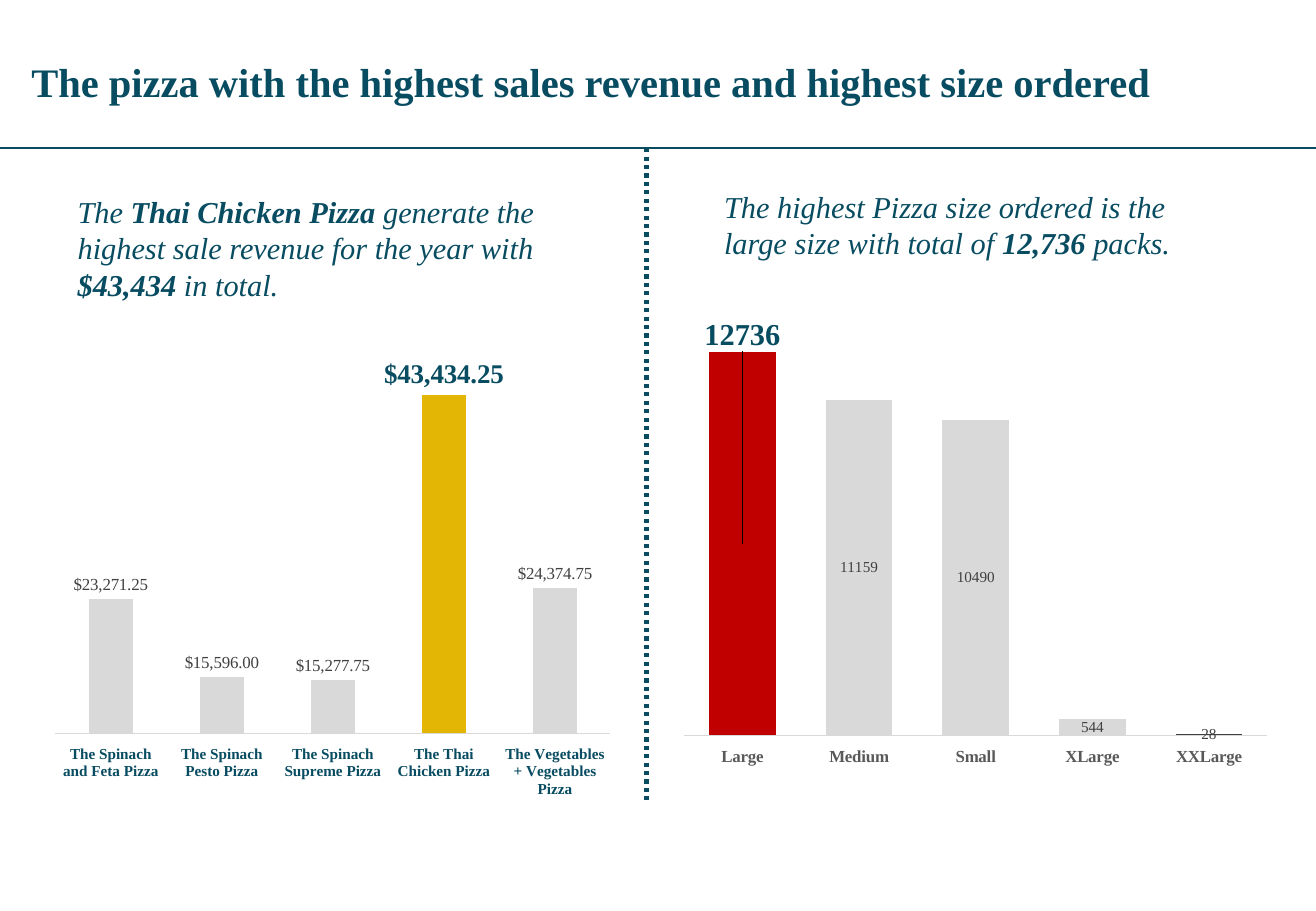
"""Build the slide on the best-selling pizza and the most ordered size."""
from dataclasses import dataclass

from lxml import etree
from pptx import Presentation
from pptx.chart.data import CategoryChartData
from pptx.dml.color import RGBColor
from pptx.enum.chart import XL_CHART_TYPE, XL_LABEL_POSITION, XL_TICK_LABEL_POSITION, XL_TICK_MARK
from pptx.enum.dml import MSO_LINE
from pptx.enum.shapes import MSO_CONNECTOR
from pptx.oxml.ns import qn
from pptx.util import Inches, Pt

CLUSTERED, STACKED = XL_CHART_TYPE.COLUMN_CLUSTERED, XL_CHART_TYPE.COLUMN_STACKED
ABOVE, CENTER = XL_LABEL_POSITION.OUTSIDE_END, XL_LABEL_POSITION.CENTER
NO_TICK, LOW = XL_TICK_MARK.NONE, XL_TICK_LABEL_POSITION.LOW
DOTTED = MSO_LINE.ROUND_DOT
STRAIGHT = MSO_CONNECTOR.STRAIGHT


@dataclass(frozen=True)
class Theme:
    font: str = "Times New Roman"
    teal: str = "084C61"
    gold: str = "E3B505"
    red: str = "C00000"
    bar: str = "D9D9D9"
    dark: str = "404040"
    gray: str = "595959"
    title: int = 24
    message: int = 18
    label: int = 10
    small: int = 9


THEME = Theme()
WIDTH, HEIGHT = Inches(10.83), Inches(7.5)
RULE_TOP, DIVIDER_LEFT, DIVIDER_END = 16.27, 49.12, 88.13

PLAIN, ITALIC, BOLD, BOLD_ITALIC = (False, False), (False, True), (True, False), (True, True)
TEXTS = [
    ((1.48, 5.6, 97.04, 6.8), THEME.title, [
        ("The pizza with the highest sales revenue and highest size ordered", BOLD)]),
    ((4.99, 20.53, 39.24, 13.47), THEME.message, [
        ("The ", ITALIC),
        ("Thai Chicken Pizza ", BOLD_ITALIC),
        ("generate the highest sale revenue for the year with ", ITALIC),
        ("$43,434 ", BOLD_ITALIC),
        ("in total.", ITALIC)]),
    ((54.11, 20, 39.24, 9.47), THEME.message, [
        ("The highest Pizza size ordered is the large size with total of ", ITALIC),
        ("12,736", BOLD_ITALIC),
        (" packs.", ITALIC)]),
]
LINES = [
    ((DIVIDER_LEFT, RULE_TOP, DIVIDER_LEFT, DIVIDER_END), 2.5, DOTTED),
    ((0, RULE_TOP, 100, RULE_TOP), 1.5, None),
]
CHARTS = [
    dict(kind=CLUSTERED, area=(3.32, 29.6, 43.95, 58.53), plot=(0.02, 0.11, 0.96, 0.76),
         bars=[("The Spinach and Feta Pizza", 23271.25, THEME.bar),
               ("The Spinach Pesto Pizza", 15596, THEME.bar),
               ("The Spinach Supreme Pizza", 15277.75, THEME.bar),
               ("The Thai Chicken Pizza", 43434.25, THEME.gold),
               ("The Vegetables + Vegetables Pizza", 24374.75, THEME.bar)],
         number='"$"#,##0.00', scale=(10000, 50000), gap=150, overlap=-25,
         axis=(THEME.small, THEME.teal), label=THEME.label, place=ABOVE,
         best=3, best_size=16, lift=0),
    dict(kind=STACKED, area=(51.06, 33.47, 46.17, 50.8), plot=(0.02, 0.02, 0.96, 0.91),
         bars=[("Large", 12736, THEME.red),
               ("Medium", 11159, THEME.bar),
               ("Small", 10490, THEME.bar),
               ("XLarge", 544, THEME.bar),
               ("XXLarge", 28, THEME.dark)],
         number="General", scale=(0, 14000), gap=75, overlap=100,
         axis=(THEME.label, THEME.gray), label=THEME.small, place=CENTER,
         best=0, best_size=18, lift=-0.45),
]


def place(area):
    """Turn percentages of the slide into lengths."""
    return [round(share * side / 100) for share, side in zip(area, (WIDTH, HEIGHT) * 2)]


def style(font, size, color, look=PLAIN):
    """Apply the theme font with a size, a colour and a look."""
    font.name, font.size = THEME.font, Pt(size)
    font.color.rgb = RGBColor.from_string(color)
    font.bold, font.italic = look


def make_layout(**settings):
    """Return a manual chart layout."""
    layout = etree.Element(qn("c:layout"))
    manual = etree.SubElement(layout, qn("c:manualLayout"))
    for name, value in settings.items():
        etree.SubElement(manual, qn(f"c:{name}")).set("val", str(value))
    return layout


def add_text(page, area, size, spans):
    box = page.shapes.add_textbox(*place(area))
    box.text_frame.word_wrap = True
    para = box.text_frame.paragraphs[0]
    for text, look in spans:
        span = para.add_run()
        span.text = text
        style(span.font, size, THEME.teal, look)


def add_line(page, ends, weight, dash):
    line = page.shapes.add_connector(STRAIGHT, *place(ends))
    line.line.color.rgb = RGBColor.from_string(THEME.teal)
    line.line.width = Pt(weight)
    if dash:
        line.line.dash_style = dash
    etree.SubElement(line.element.spPr, qn("a:effectLst"))


def style_axes(chart, spec):
    categories, values = chart.category_axis, chart.value_axis
    categories.major_tick_mark = categories.minor_tick_mark = NO_TICK
    categories.tick_label_position = LOW
    categories.format.line.color.rgb = RGBColor.from_string(THEME.bar)
    categories.format.line.width = Pt(0.75)
    style(categories.tick_labels.font, *spec["axis"], BOLD)
    values.minimum_scale, values.maximum_scale = spec["scale"]
    values.has_major_gridlines = values.visible = False


def style_labels(chart, spec):
    series = chart.plots[0].series[0]
    labels = series.data_labels
    labels.show_value = True
    labels.number_format, labels.number_format_is_linked = spec["number"], False
    labels.position = spec["place"]
    style(labels.font, spec["label"], THEME.dark)
    best = series.points[spec["best"]].data_label
    style(best.font, spec["best_size"], THEME.teal, BOLD)
    best.position = spec["place"]
    if spec["lift"]:
        index = chart.element.xpath(".//c:dLbl/c:idx")[0]
        index.addnext(make_layout(x=0, y=spec["lift"]))


def add_chart(page, spec):
    names, values, colors = zip(*spec["bars"])
    data = CategoryChartData(number_format=spec["number"])
    data.categories = names
    data.add_series("Series 1", values)
    chart = page.shapes.add_chart(spec["kind"], *place(spec["area"]), data).chart
    chart.has_legend = chart.has_title = False
    style(chart.font, THEME.label, THEME.dark)
    plot = chart.plots[0]
    plot.gap_width, plot.overlap = spec["gap"], spec["overlap"]
    plot.vary_by_categories = False
    for index, color in enumerate(colors):
        fill = plot.series[0].points[index].format.fill
        fill.solid()
        fill.fore_color.rgb = RGBColor.from_string(color)
    style_axes(chart, spec)
    style_labels(chart, spec)
    plot_area = chart.element.xpath(".//c:plotArea")[0]
    for old in plot_area.findall(qn("c:layout")):
        plot_area.remove(old)
    x, y, w, h = spec["plot"]
    plot_area.insert(0, make_layout(layoutTarget="inner", xMode="edge", yMode="edge",
                                    x=x, y=y, w=w, h=h))


def main():
    deck = Presentation()
    deck.slide_width, deck.slide_height = WIDTH, HEIGHT
    page = deck.slides.add_slide(deck.slide_layouts[6])
    for spec in CHARTS:
        add_chart(page, spec)
    for line in LINES:
        add_line(page, *line)
    for text in TEXTS:
        add_text(page, *text)
    deck.save("out.pptx")


if __name__ == "__main__":
    main()
